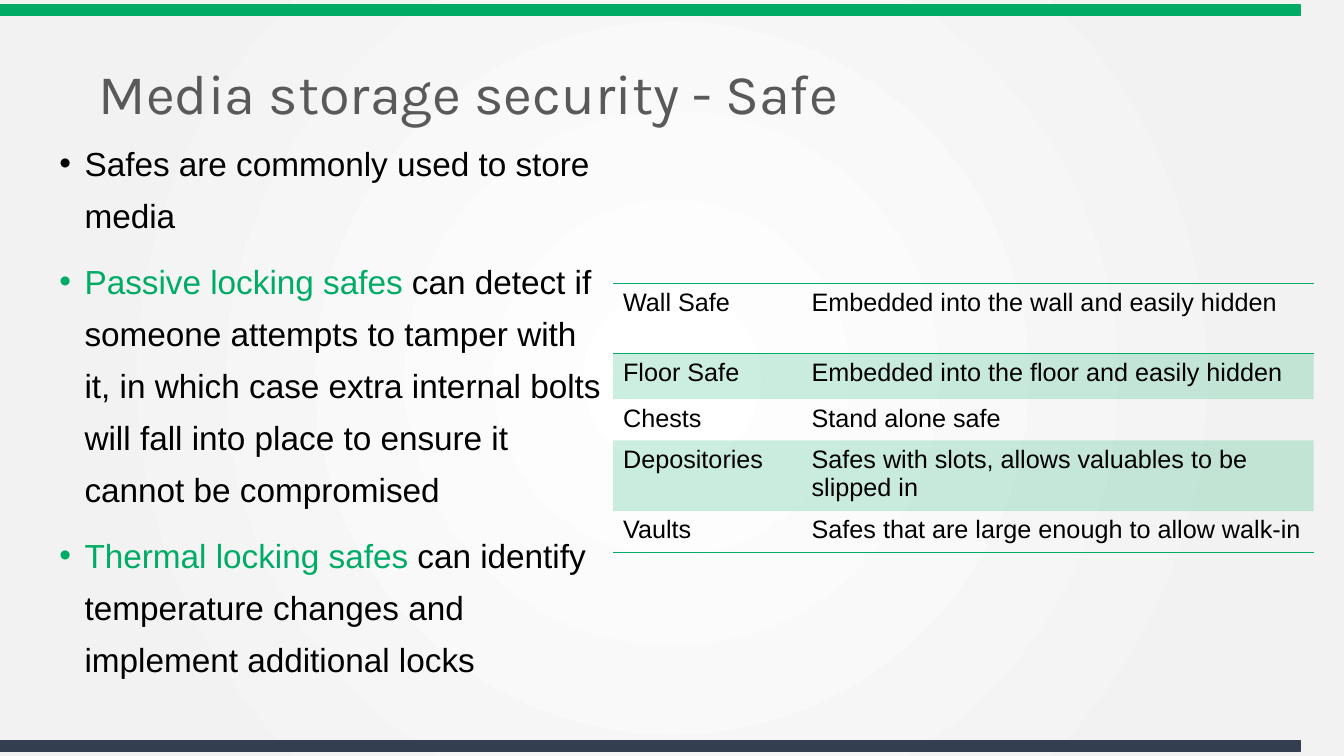
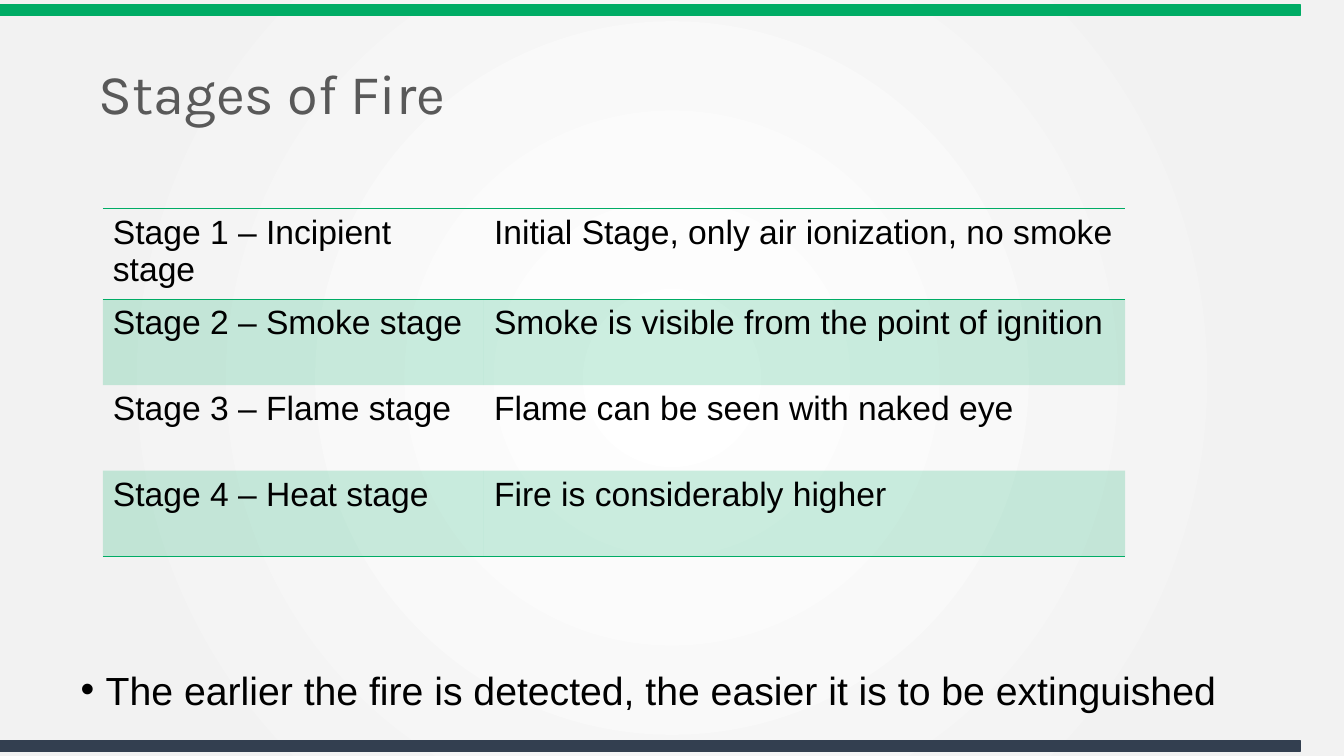
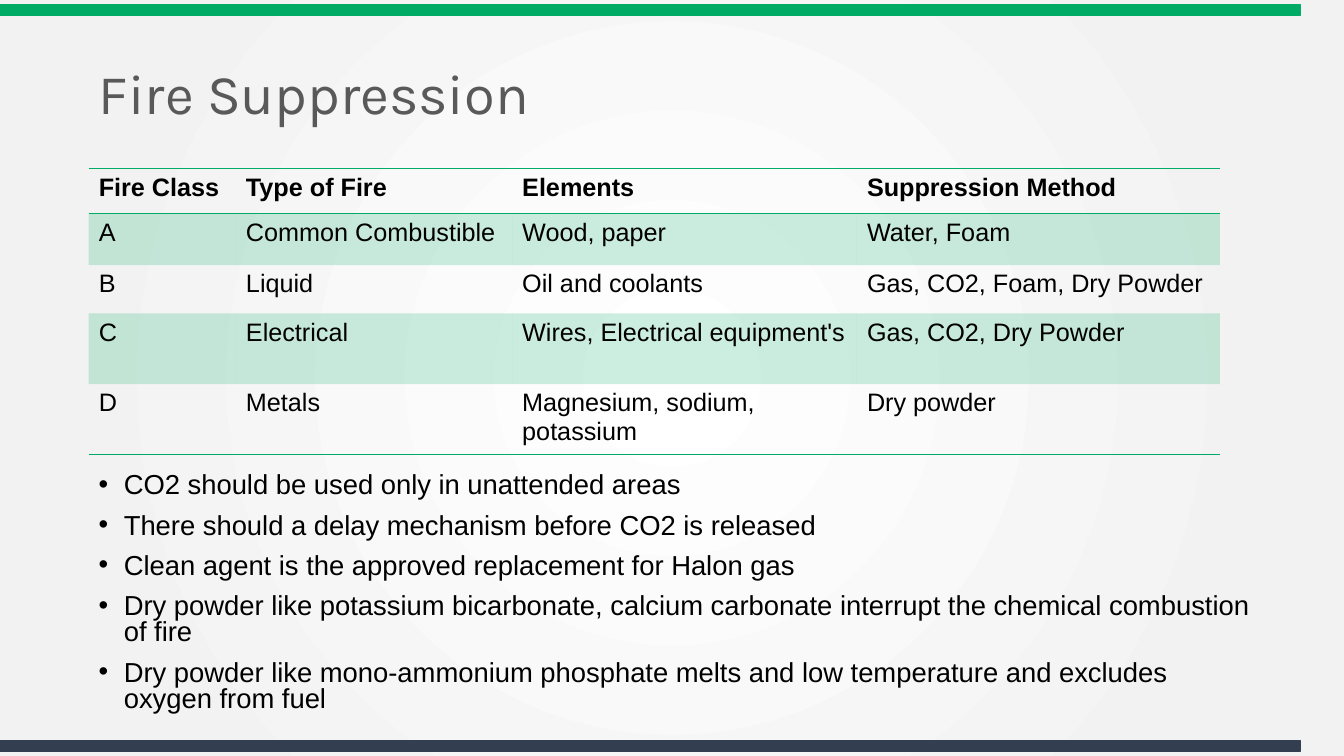
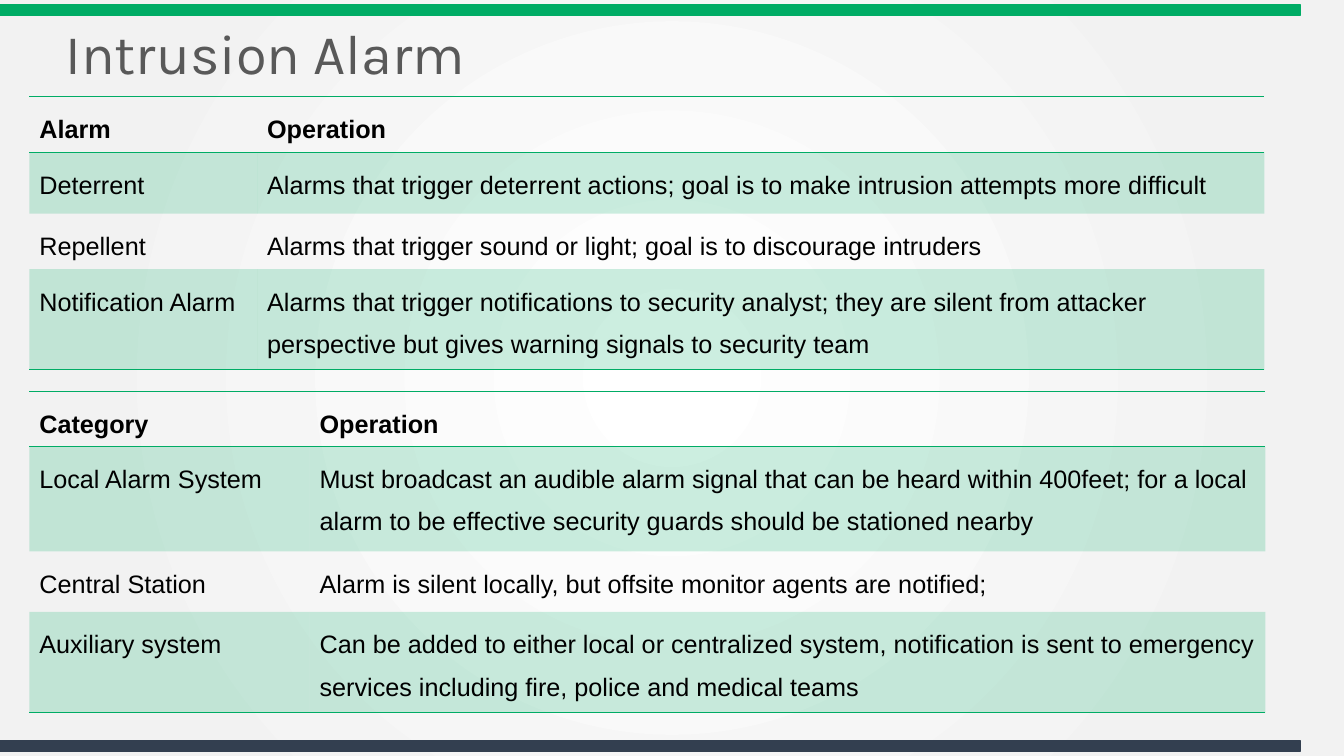
from dataclasses import dataclass

from lxml import etree
from pptx import Presentation
from pptx.dml.color import RGBColor as RGB
from pptx.enum.shapes import MSO_SHAPE as Shape
from pptx.enum.text import MSO_ANCHOR as Anchor, MSO_AUTO_SIZE as AutoSize, PP_ALIGN as Align
from pptx.oxml import parse_xml
from pptx.oxml.ns import nsdecls, qn
from pptx.util import Inches, Pt


@dataclass(frozen=True)
class Theme:
    green: str = "00AC65"
    navy: str = "333F50"
    heading: str = "595959"
    ink: str = "000000"
    centre: str = "FFFFFF"
    edge: str = "F2F2F2"
    tint: int = 20000  # opacity of banded rows, in thousandths of a percent
    title_font: str = "Karla"
    body_font: str = "Arial"
    title_size: float = 40
    table_size: float = 18


THEME = Theme()
TITLE_BOX = (0.88, 0.56, 11.7, 0.8)
NO_STYLE = "{2D5ABB26-0587-4C30-8999-92F81FD0307C}"


def inches(box):
    return [Inches(length) for length in box]


# Text
def write(frame, paragraphs, *, size=THEME.table_size, font=THEME.body_font,
          color=THEME.ink, bold=False, spacing=None, before=0, bullet=False,
          anchor=Anchor.TOP):
    """Each paragraph is a string or a list of (text, colour) runs."""
    frame.word_wrap = True
    frame.vertical_anchor = anchor
    for index, content in enumerate(paragraphs):
        paragraph = frame.add_paragraph() if index else frame.paragraphs[0]
        paragraph.alignment = Align.LEFT
        paragraph.space_before = Pt(before)
        if spacing:
            paragraph.line_spacing = spacing
        if bullet:
            add_bullet(paragraph)
        runs = [(content, color)] if isinstance(content, str) else content
        for text, run_color in runs:
            run = paragraph.add_run()
            run.text = text
            run.font.size = Pt(size)
            run.font.name = font
            run.font.bold = bold
            run.font.color.rgb = RGB.from_string(run_color)


def add_bullet(paragraph):
    properties = paragraph._p.get_or_add_pPr()
    properties.set("marL", str(Inches(0.25)))
    properties.set("indent", str(-Inches(0.25)))
    etree.SubElement(properties, qn("a:buFont")).set("typeface", "Arial")
    etree.SubElement(properties, qn("a:buChar")).set("char", "•")


def add_bullets(slide, box, paragraphs, **fmt):
    frame = slide.shapes.add_textbox(*inches(box)).text_frame
    write(frame, paragraphs, before=10, bullet=True, **fmt)


# Master: background and bands
def set_background(master):
    stops = "".join(
        f'<a:gs pos="{position * 1000}"><a:srgbClr val="{color}"/></a:gs>'
        for position, color in ((0, THEME.centre), (81, THEME.edge), (100, THEME.edge)))
    fill = master.background.fill
    fill.gradient()
    gradient = master.element.find(".//" + qn("p:bgPr")).find(qn("a:gradFill"))
    gradient.getparent().replace(gradient, parse_xml(
        f'<a:gradFill {nsdecls("a")} rotWithShape="1"><a:gsLst>{stops}</a:gsLst>'
        '<a:path path="circle"><a:fillToRect l="50000" t="50000" r="50000" b="50000"/>'
        '</a:path></a:gradFill>'))


def add_bands(master, slide):
    """Draw the bands on a slide, then move them to the master."""
    for number, (top, color) in enumerate(((0.05, THEME.green), (7.35, THEME.navy))):
        band = slide.shapes.add_shape(Shape.RECTANGLE, *inches((0, top, 12.9, 0.1)))
        band.shadow.inherit = False
        band.fill.solid()
        band.fill.fore_color.rgb = RGB.from_string(color)
        band.line.color.rgb = RGB.from_string(color)
        band.line.width = Pt(1)
        band.element.nvSpPr.cNvPr.set("id", str(101 + number))
        master.shapes.element.append(band.element)


# Title
def add_titled_slide(prs, heading, box=TITLE_BOX):
    slide = prs.slides.add_slide(prs.slide_layouts[5])
    title = slide.shapes.title
    title.left, title.top, title.width, title.height = inches(box)
    title.text_frame.auto_size = AutoSize.NONE
    write(title.text_frame, [heading], size=THEME.title_size, font=THEME.title_font,
          color=THEME.heading, spacing=0.9, anchor=Anchor.MIDDLE)
    return slide


# Tables
def set_rules(cell, sides):
    """Rule the named sides of a cell in green."""
    properties = cell._tc.get_or_add_tcPr()
    for side in sides:
        properties.append(parse_xml(
            f'<a:ln{side} {nsdecls("a")} w="{Pt(1)}"><a:solidFill>'
            f'<a:srgbClr val="{THEME.green}"/></a:solidFill></a:ln{side}>'))


def tint_cell(cell):
    cell.fill.solid()
    cell.fill.fore_color.rgb = RGB.from_string(THEME.green)
    color = cell._tc.tcPr.find(qn("a:solidFill")).find(qn("a:srgbClr"))
    etree.SubElement(color, qn("a:alpha")).set("val", str(THEME.tint))


def add_banded_table(slide, origin, widths, heights, rows, header=False, **fmt):
    box = (*origin, sum(widths), sum(heights))
    table = slide.shapes.add_table(len(rows), len(widths), *inches(box)).table
    table.first_row = table.horz_banding = False
    table._tbl.tblPr.find(qn("a:tableStyleId")).text = NO_STYLE
    for column, width in zip(table.columns, widths):
        column.width = Inches(width)
    last = len(rows) - 1
    for r, (height, texts) in enumerate(zip(heights, rows)):
        table.rows[r].height = Inches(height)
        sides = "TB" if r == 0 else "B" if r == last else ""
        for c, text in enumerate(texts):
            cell = table.cell(r, c)
            set_rules(cell, sides)
            if r % 2:
                tint_cell(cell)
            else:
                cell.fill.background()
            write(cell.text_frame, [text], bold=header and r == 0, **fmt)


# Slides
def build_safes(prs):
    slide = add_titled_slide(prs, "Media storage security - Safe")
    add_bullets(slide, (0.49, 1.25, 5.59, 5.8), [
        "Safes are commonly used to store media",
        [("Passive locking safes ", THEME.green),
         ("can detect if someone attempts to tamper with it, in which case extra "
          "internal bolts will fall into place to ensure it cannot be compromised",
          THEME.ink)],
        [("Thermal locking safes ", THEME.green),
         ("can identify temperature changes and implement additional locks", THEME.ink)],
    ], size=23.8, spacing=1.3)
    add_banded_table(slide, (6.08, 2.81), (1.87, 5.08), (0.7, 0.45, 0.41, 0.7, 0.41), [
        ("Wall Safe", "Embedded into the wall and easily hidden"),
        ("Floor Safe", "Embedded into the floor and easily hidden"),
        ("Chests", "Stand alone safe"),
        ("Depositories", "Safes with slots, allows valuables to be slipped in"),
        ("Vaults", "Safes that are large enough to allow walk-in"),
    ])


def build_fire_stages(prs):
    slide = add_titled_slide(prs, "Stages of Fire")
    add_banded_table(slide, (1.02, 2.07), (3.78, 6.36), (0.9, 0.85, 0.85, 0.85), [
        ("Stage 1 – Incipient stage", "Initial Stage, only air ionization, no smoke"),
        ("Stage 2 – Smoke stage", "Smoke is visible from the point of ignition"),
        ("Stage 3 – Flame stage", "Flame can be seen with naked eye"),
        ("Stage 4 – Heat stage", "Fire is considerably higher"),
    ], size=24)
    add_bullets(slide, (0.7, 6.37, 11.75, 0.78), [
        "The earlier the fire is detected, the easier it is to be extinguished",
    ], size=28, spacing=1.4)


def build_fire_suppression(prs):
    slide = add_titled_slide(prs, "Fire Suppression")
    add_banded_table(
        slide, (0.88, 1.67), (1.46, 2.74, 3.42, 3.6), (0.45, 0.51, 0.48, 0.7, 0.7), [
            ("Fire Class", "Type of Fire", "Elements", "Suppression Method"),
            ("A", "Common Combustible", "Wood, paper", "Water, Foam"),
            ("B", "Liquid", "Oil and coolants", "Gas, CO2, Foam, Dry Powder"),
            ("C", "Electrical", "Wires, Electrical equipment's", "Gas, CO2, Dry Powder"),
            ("D", "Metals", "Magnesium, sodium, potassium", "Dry powder"),
        ], header=True)
    add_bullets(slide, (0.88, 4.65, 11.7, 2.66), [
        "CO2 should be used only in unattended areas",
        "There should a delay mechanism before CO2 is released",
        "Clean agent is the approved replacement for Halon gas",
        "Dry powder like potassium bicarbonate, calcium carbonate interrupt the "
        "chemical combustion of fire",
        "Dry powder like mono-ammonium phosphate melts and low temperature and "
        "excludes oxygen from fuel",
    ], size=19.6, spacing=0.8)


def build_intrusion_alarm(prs):
    slide = add_titled_slide(prs, "Intrusion Alarm", (0.55, 0.16, 11.7, 0.8))
    add_banded_table(slide, (0.29, 0.96), (2.26, 9.99), (0.55, 0.61, 0.55, 1), [
        ("Alarm", "Operation"),
        ("Deterrent", "Alarms that trigger deterrent actions; goal is to make "
                      "intrusion attempts more difficult"),
        ("Repellent", "Alarms that trigger sound or light; goal is to discourage intruders"),
        ("Notification Alarm", "Alarms that trigger notifications to security analyst; "
                               "they are silent from attacker perspective but gives "
                               "warning signals to security team"),
    ], header=True, spacing=1.5)
    add_banded_table(slide, (0.29, 3.88), (2.78, 9.48), (0.55, 1.04, 0.6, 1), [
        ("Category", "Operation"),
        ("Local Alarm System", "Must broadcast an audible alarm signal that can be heard "
                               "within 400feet; for a local alarm to be effective "
                               "security guards should be stationed nearby"),
        ("Central Station", "Alarm is silent locally, but offsite monitor agents are notified;"),
        ("Auxiliary system", "Can be added to either local or centralized system, "
                             "notification is sent to emergency services including "
                             "fire, police and medical teams"),
    ], header=True, spacing=1.5)


def main():
    prs = Presentation()
    prs.slide_width, prs.slide_height = Inches(13.33), Inches(7.5)
    set_background(prs.slide_master)
    for build in (build_safes, build_fire_stages, build_fire_suppression,
                  build_intrusion_alarm):
        build(prs)
    add_bands(prs.slide_master, prs.slides[0])
    prs.save("out.pptx")


if __name__ == "__main__":
    main()
